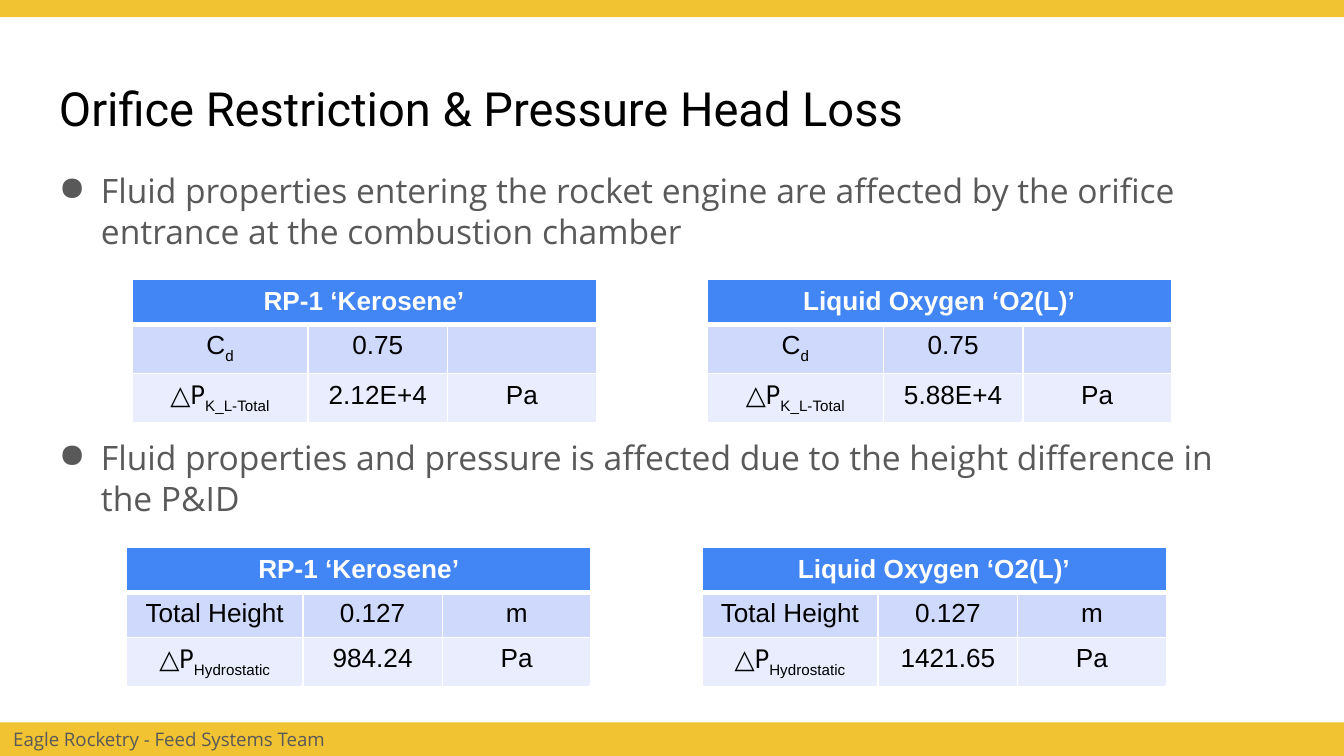
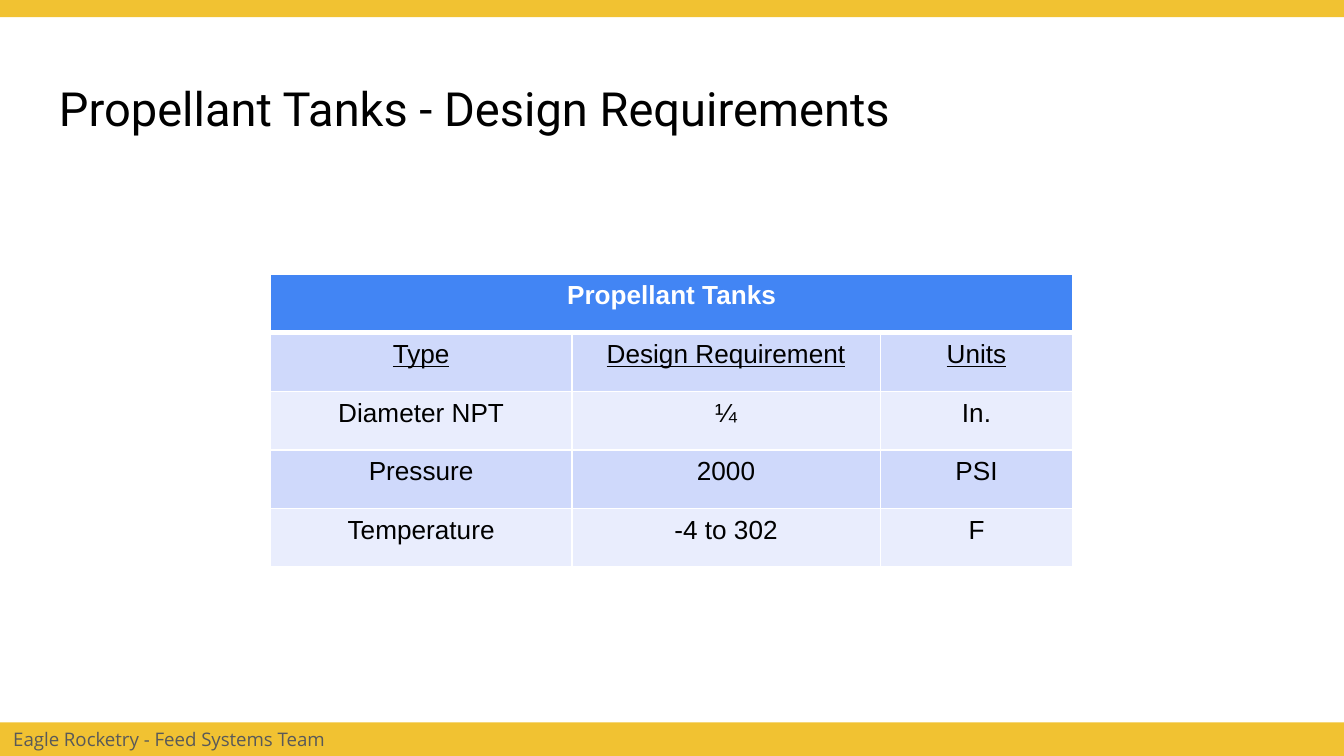
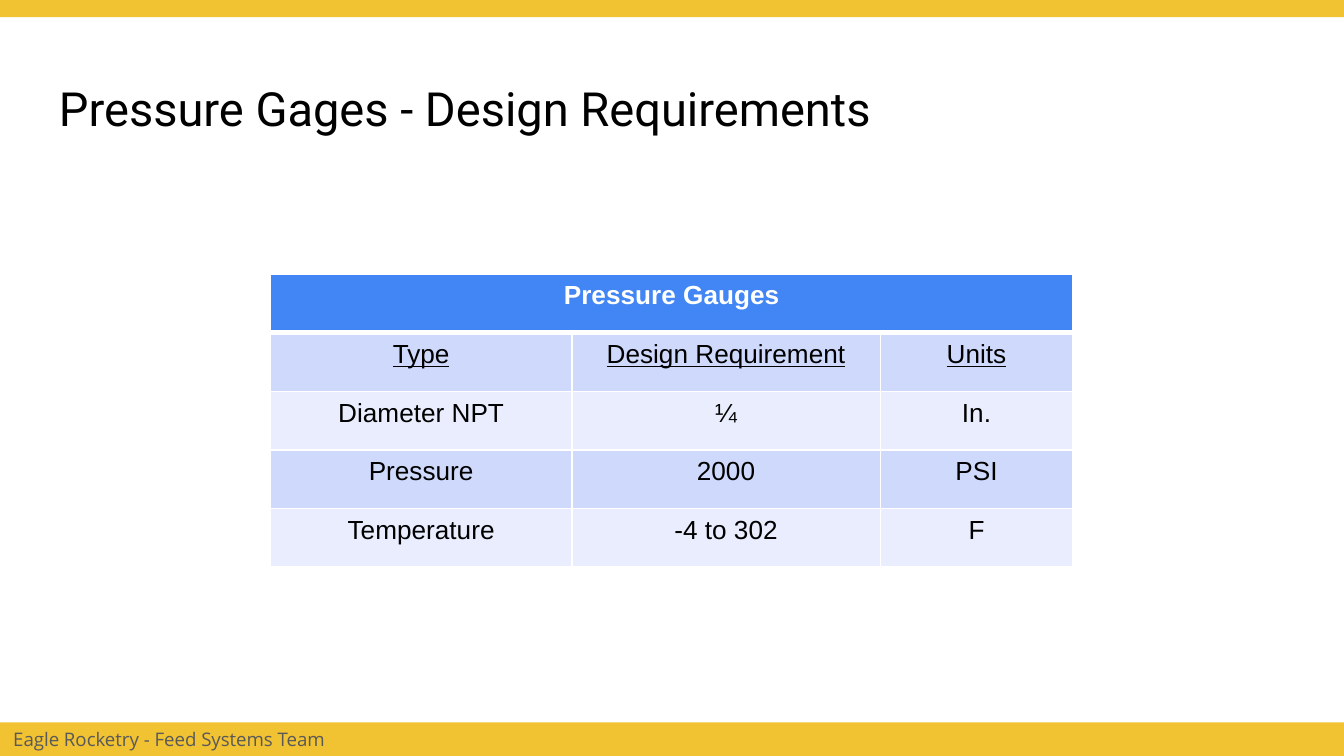
from lxml.etree import SubElement
from pptx import Presentation
from pptx.dml.color import RGBColor
from pptx.enum.shapes import MSO_SHAPE
from pptx.enum.text import MSO_ANCHOR, PP_ALIGN
from pptx.oxml.ns import qn
from pptx.util import Pt

GOLD, GREY, BLACK, WHITE = "F1C232", "595959", "000000", "FFFFFF"
HEAD, BANDS = "4285F4", ("CFD9FB", "E9EDFD")
WIDE, HIGH = 720, 405
TEAM = "Eagle Rocketry - Feed Systems Team"
FUELS = "RP-1 ‘Kerosene’", "Liquid Oxygen ‘O2(L)’"
NEEDS = (
    ("Type", "Design Requirement", "Units"),
    ("Diameter NPT", "¼", "In."),
    ("Pressure", "2000", "PSI"),
    ("Temperature", "-4 to 302", "F"),
)


def color(code):
    """Turn a hex string into a colour."""
    return RGBColor.from_string(code)


def write(para, text, size=14, face="Arial", ink=BLACK, bold=False, line=False, base=0):
    """Add one formatted run to a paragraph."""
    run = para.add_run()
    run.text = text
    font = run.font
    font.size, font.name = Pt(size), face
    font.bold, font.underline = bold, line
    font.color.rgb = color(ink)
    if base:
        font._element.set("baseline", str(base * 1000))


def pad(frame):
    """Wrap a text frame and give it equal insets."""
    frame.word_wrap = True
    frame.margin_left = frame.margin_right = Pt(7.2)
    frame.margin_top = frame.margin_bottom = Pt(7.2)
    return frame


def band(slide, top, tall):
    """Draw a gold band across the slide."""
    bar = slide.shapes.add_shape(MSO_SHAPE.RECTANGLE, 0, Pt(top), Pt(WIDE), Pt(tall))
    bar.shadow.inherit = False
    bar.fill.solid()
    bar.fill.fore_color.rgb = color(GOLD)
    bar.line.fill.background()
    return bar


def area(slide, left, top, wide, tall):
    """Add a padded text box and return its frame."""
    box = slide.shapes.add_textbox(Pt(left), Pt(top), Pt(wide), Pt(tall))
    return pad(box.text_frame)


def start(deck, title):
    """Add a slide with its bands, footer and title."""
    slide = deck.slides.add_slide(deck.slide_layouts[6])
    foot = pad(band(slide, HIGH - 18, 18).text_frame)
    foot.vertical_anchor = MSO_ANCHOR.MIDDLE
    para = foot.paragraphs[0]
    para.alignment = PP_ALIGN.LEFT
    write(para, TEAM, size=10, face="Open Sans", ink=GREY)
    band(slide, 0, 9.2)
    para = area(slide, 24.5, 35.3, 671, 45.4).paragraphs[0]
    write(para, title, size=25.2, face="Roboto")
    return slide


def points(slide, items, left, top, wide, tall, gap):
    """List bulleted items with a gap between them."""
    frame = area(slide, left, top, wide, tall)
    for spot, item in enumerate(items):
        para = frame.add_paragraph() if spot else frame.paragraphs[0]
        para.line_spacing = 1.02
        if spot:
            para.space_before = Pt(gap)
        props = para._p.get_or_add_pPr()
        props.set("marL", str(Pt(22.5)))
        props.set("indent", str(-Pt(22.5)))
        tint = SubElement(props, qn("a:buClr"))
        SubElement(tint, qn("a:srgbClr"), val=GREY)
        SubElement(props, qn("a:buChar"), char="●")
        write(para, item, size=18, face="Open Sans", ink=GREY)


def edge(cell, **sides):
    """Set white cell borders, one point unless told otherwise."""
    props = cell._tc.get_or_add_tcPr()
    for side in "LRTB":
        line = SubElement(props, qn("a:ln" + side), w=str(Pt(sides.get(side, 1))))
        fill = SubElement(line, qn("a:solidFill"))
        SubElement(fill, qn("a:srgbClr"), val=WHITE)


def fill(cell, text, tint, **form):
    """Fill a cell with a tint and centred text, maybe with a subscript."""
    cell.fill.solid()
    cell.fill.fore_color.rgb = color(tint)
    para = cell.text_frame.paragraphs[0]
    para.alignment = PP_ALIGN.CENTER
    if not text:
        SubElement(para._p, qn("a:endParaRPr"), sz="1400")
        return
    main, low = text if isinstance(text, tuple) else (text, "")
    face = "Roboto Condensed" if main.startswith("△") else "Arial"
    write(para, main, face=face, **form)
    if low:
        write(para, low, base=-25, **form)


def grid(slide, title, rows, left, top, wides, tall, lined=False):
    """Draw a table with a merged title row and banded rows."""
    count = len(rows) + 1
    table = slide.shapes.add_table(
        count, len(wides), Pt(left), Pt(top), Pt(sum(wides)), Pt(tall * count)
    ).table
    table.first_row = table.horz_banding = False
    for column, wide in zip(table.columns, wides):
        column.width = Pt(wide)
    for row in table.rows:
        row.height = Pt(tall)
    first = table.cell(0, 0)
    first.merge(table.cell(0, len(wides) - 1))
    for col in range(len(wides)):
        edge(table.cell(0, col), B=3)
    fill(first, title, HEAD, ink=WHITE, bold=True)
    for num, row in enumerate(rows, 1):
        for col, text in enumerate(row):
            cell = table.cell(num, col)
            edge(cell, T=3 if num == 1 else 1)
            fill(cell, text, BANDS[(num - 1) % 2], line=lined and num == 1)


def pair(slide, left, top, fact, label, drops):
    """Set the tables of both fuels side by side."""
    for spot, (fuel, drop) in enumerate(zip(FUELS, drops)):
        rows = (fact, (("△P", label), drop, "Pa"))
        grid(slide, fuel, rows, left + spot * 308.2, top, (94.5, 74.7, 79.7), 20.2)


def losses(deck):
    """Build the slide on pressure losses."""
    slide = start(deck, "Orifice Restriction & Pressure Head Loss")
    items = (
        "Fluid properties entering the rocket engine are affected by the orifice "
        "entrance at the combustion chamber",
        "Fluid properties and pressure is affected due to the height difference in the P&ID",
    )
    points(slide, items, 24.5, 83.5, 648.7, 275.8, 99)
    pair(slide, 70.6, 149.8, (("C", "d"), "0.75", ""), "K_L-Total", ("2.12E+4", "5.88E+4"))
    pair(slide, 67.8, 293.4, ("Total Height", "0.127", "m"), "Hydrostatic", ("984.24", "1421.65"))


def needs(deck, title, part):
    """Build a slide with the design requirements of a part."""
    slide = start(deck, title + " - Design Requirements")
    grid(slide, part, NEEDS, 145, 147, (161.3, 165.4, 103), 31.4, lined=True)


def main():
    """Build and save the deck."""
    deck = Presentation()
    deck.slide_width, deck.slide_height = Pt(WIDE), Pt(HIGH)
    losses(deck)
    needs(deck, "Propellant Tanks", "Propellant Tanks")
    needs(deck, "Pressure Gages", "Pressure Gauges")
    deck.save("out.pptx")


if __name__ == "__main__":
    main()
